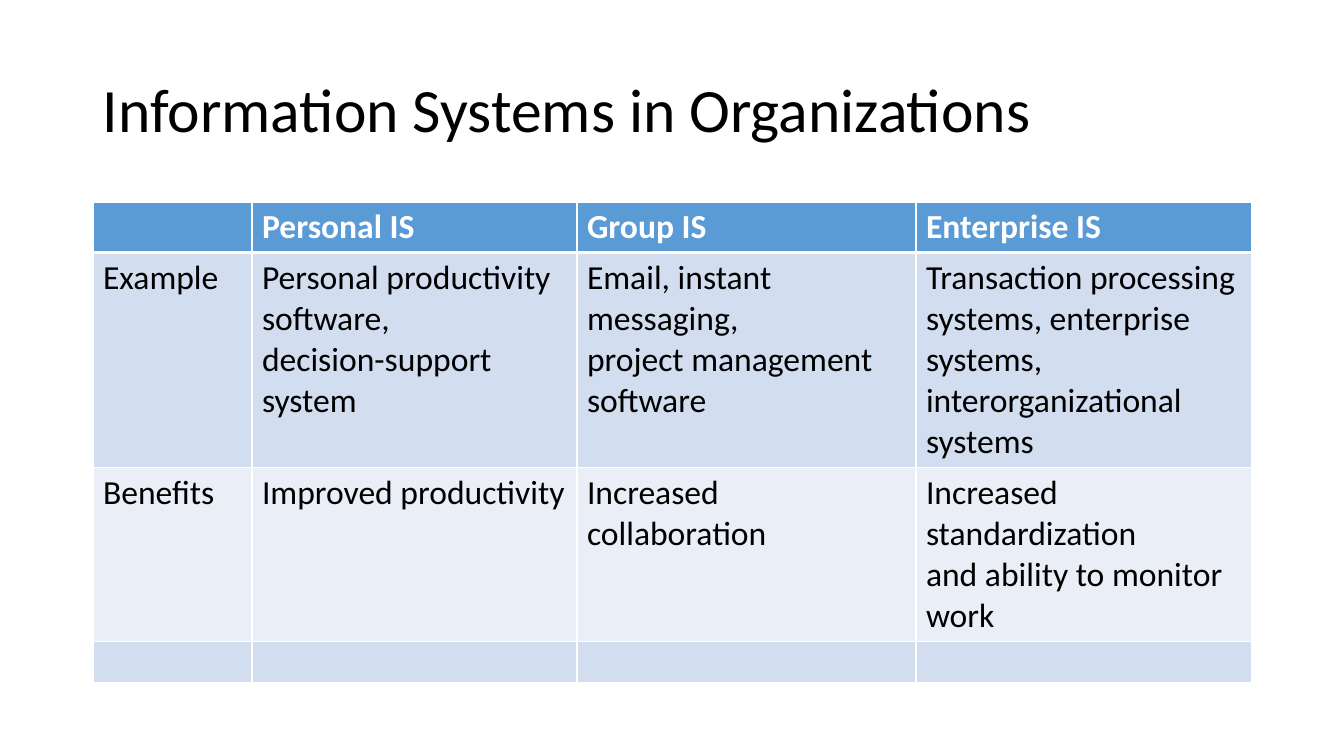
from dataclasses import dataclass

from lxml import etree
from pptx import Presentation
from pptx.dml.color import RGBColor
from pptx.enum.text import MSO_ANCHOR
from pptx.oxml.ns import qn
from pptx.util import Emu, Pt

MIDDLE = MSO_ANCHOR.MIDDLE
EMU_PER_PX = 914400 / 100.8


@dataclass(frozen=True)
class Theme:
    font: str = "Calibri"
    title_size: int = 44
    table_size: int = 24
    text: str = "000000"
    header_text: str = "FFFFFF"
    header_fill: str = "5B9BD5"
    band_fills: tuple = ("D2DEEF", "EAEFF7")
    border: str = "FFFFFF"
    border_width: int = 1
    header_rule: int = 3


THEME = Theme()

COLUMN_WIDTHS = (159, 325, 339, 336)
ROW_HEIGHTS = (50, 215, 174, 41)
ROWS = (
    ("", "Personal IS", "Group IS", "Enterprise IS"),
    (
        "Example",
        "Personal productivity software,\ndecision-support\nsystem",
        "Email, instant messaging,\nproject management\nsoftware",
        "Transaction processing\nsystems, enterprise systems,\n"
        "interorganizational\nsystems",
    ),
    (
        "Benefits",
        "Improved productivity",
        "Increased collaboration",
        "Increased standardization\nand ability to monitor work",
    ),
    ("", "", "", ""),
)


def px(n):
    return Emu(round(n * EMU_PER_PX))


def set_text(tf, text, size, color, bold=False):
    tf.text = text
    for p in tf.paragraphs:
        for r in p.runs:
            r.font.name = THEME.font
            r.font.size = Pt(size)
            r.font.bold = bold
            r.font.color.rgb = RGBColor.from_string(color)


def set_borders(cell, top, bottom):
    """Draw all four cell edges; top and bottom are widths in points."""
    tc_pr = cell._tc.get_or_add_tcPr()
    side = THEME.border_width
    edges = (("a:lnL", side), ("a:lnR", side), ("a:lnT", top), ("a:lnB", bottom))
    for i, (tag, width) in enumerate(edges):
        ln = etree.Element(qn(tag), w=str(Pt(width)))
        fill = etree.SubElement(ln, qn("a:solidFill"))
        etree.SubElement(fill, qn("a:srgbClr"), val=THEME.border)
        tc_pr.insert(i, ln)


def add_title(s, text, left, top, width, height):
    sp = s.shapes.add_textbox(px(left), px(top), px(width), px(height))
    tf = sp.text_frame
    tf.word_wrap = True
    tf.vertical_anchor = MIDDLE
    set_text(tf, text, THEME.title_size, THEME.text)
    tf.paragraphs[0].line_spacing = 0.9


def style_cell(cell, text, row):
    header = row == 0
    fill = THEME.header_fill if header else THEME.band_fills[(row - 1) % 2]
    color = THEME.header_text if header else THEME.text
    set_text(cell.text_frame, text, THEME.table_size, color, bold=header)
    cell.fill.solid()
    cell.fill.fore_color.rgb = RGBColor.from_string(fill)
    set_borders(
        cell,
        top=THEME.header_rule if row == 1 else THEME.border_width,
        bottom=THEME.header_rule if header else THEME.border_width,
    )


def add_banded_table(s, rows, left, top, widths, heights):
    table = s.shapes.add_table(
        len(rows), len(widths), px(left), px(top), px(sum(widths)), px(sum(heights))
    ).table
    for column, width in zip(table.columns, widths):
        column.width = px(width)
    for i, (texts, height) in enumerate(zip(rows, heights)):
        table.rows[i].height = px(height)
        for j, text in enumerate(texts):
            style_cell(table.cell(i, j), text, i)


def main():
    prs = Presentation()
    prs.slide_width, prs.slide_height = px(1344), px(756)
    s = prs.slides.add_slide(prs.slide_layouts[6])
    add_title(s, "Information Systems in Organizations", 93, 40, 1159, 146)
    add_banded_table(s, ROWS, 93, 202, COLUMN_WIDTHS, ROW_HEIGHTS)
    prs.save("out.pptx")


if __name__ == "__main__":
    main()
